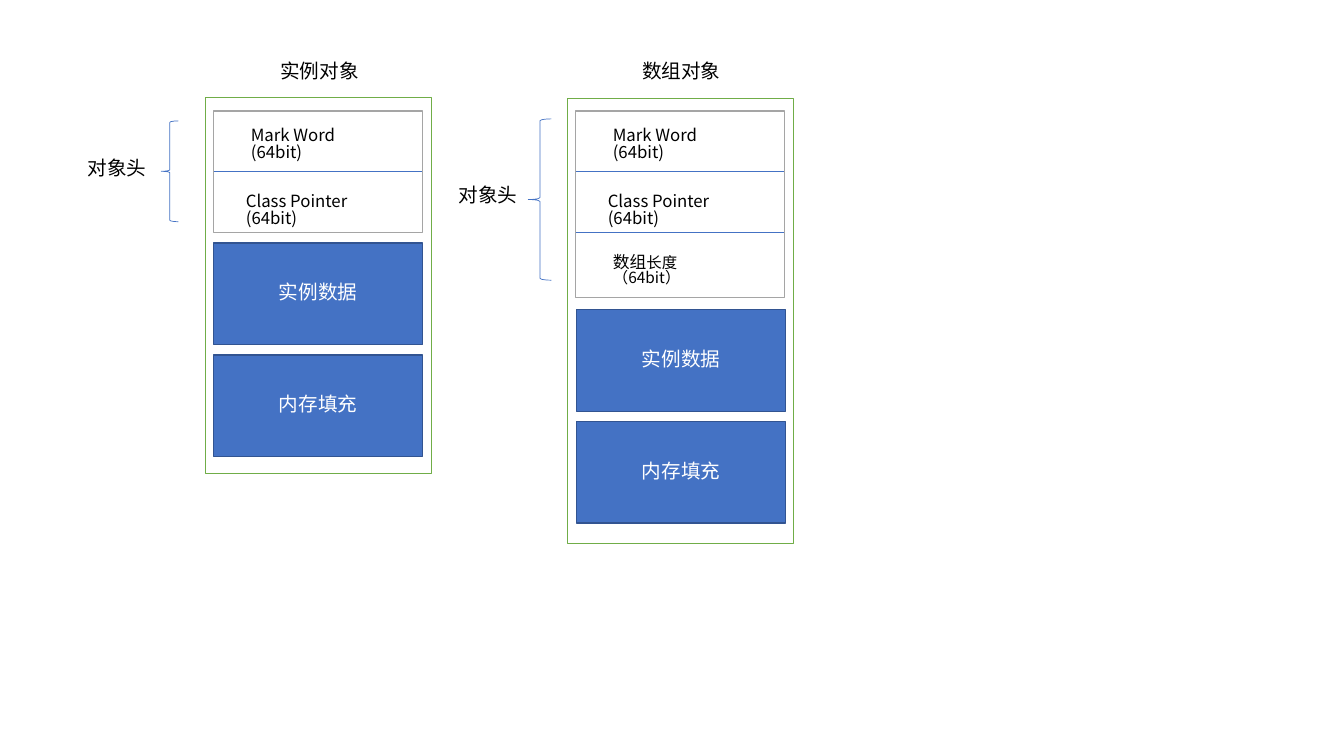
from pptx import Presentation
from pptx.dml.color import RGBColor
from pptx.enum.shapes import MSO_CONNECTOR as Connector, MSO_SHAPE as Shape
from pptx.enum.text import MSO_ANCHOR as Anchor, PP_ALIGN as Align
from pptx.oxml.ns import qn
from pptx.util import Inches, Pt
from lxml.etree import SubElement

# Content: each header field is (text runs as (text, size), left offset, top, width)
MARK_WORD = ([("Mark Word (64bit)", 12)], 0.35, 1.22, 1.53)
CLASS_POINTER = ([("Class Pointer (64bit)", 12)], 0.3, 1.88, 1.64)
ARRAY_LENGTH = ([("数组", 12), ("长度（64bit）", 11)], 0.35, 2.48, 1.4)
BLOCKS = ["实例数据", "内存填充"]
HEADER_NAME = "对象头"

OBJECTS = [
    dict(title="实例对象", left=2.04, top=0.97, height=3.73,
         fields=[MARK_WORD, CLASS_POINTER], header_height=1.21,
         dividers=[1.7], blocks_left=2.12, blocks_top=2.41,
         brace=(1.6, 1.2, 0.17, 1), brace_label=(0.77, 1.54)),
    dict(title="数组对象", left=5.63, top=0.98, height=4.41,
         fields=[MARK_WORD, CLASS_POINTER, ARRAY_LENGTH], header_height=1.85,
         dividers=[1.7, 2.31], blocks_left=5.72, blocks_top=3.07,
         brace=(5.24, 1.18, 0.23, 1.6), brace_label=(4.45, 1.81)),
]

THEME = dict(
    font="Noto Sans CJK SC", size=14, line_spacing=0.83,
    text="000000", light="FFFFFF", frame="70AD47", header="A5A5A5",
    accent="4472C4", block_line="325491", border=1, thin=0.5,
)

# Shared geometry
FRAME_WIDTH, PART_WIDTH, PART_INSET = 2.24, 2.07, 0.08
HEADER_TOP = 1.1
BLOCK_HEIGHT, BLOCK_GAP = 1.01, 0.1
TITLE_INSET, TITLE_TOP, TITLE_WIDTH = 0.64, 0.57, 0.99
BRACE_LABEL_WIDTH, LABEL_HEIGHT, FIELD_HEIGHT = 0.79, 0.34, 0.3


def color(name):
    return RGBColor.from_string(THEME[name])


def write(frame, runs, ink):
    paragraph = frame.paragraphs[0]
    paragraph.line_spacing = THEME["line_spacing"]
    font = paragraph.font
    font.name, font.size = THEME["font"], Pt(runs[0][1])
    font.color.rgb = color(ink)
    for text, size in runs:
        run = paragraph.add_run()
        run.text = text
        if len(runs) > 1:
            run.font.size = Pt(size)
        east_asian = SubElement(run._r.get_or_add_rPr(), qn("a:ea"))
        east_asian.set("typeface", THEME["font"])
    return paragraph


def add_label(runs, left, top, width, height, wrap=False):
    label = slide.shapes.add_textbox(*map(Inches, (left, top, width, height)))
    label.text_frame.word_wrap = wrap
    write(label.text_frame, runs, "text")


def add_part(kind, box, fill, line, width):
    part = slide.shapes.add_shape(kind, *map(Inches, box))
    part.shadow.inherit = False
    if fill:
        part.fill.solid()
        part.fill.fore_color.rgb = color(fill)
    else:
        part.fill.background()
    part.line.color.rgb = color(line)
    part.line.width = Pt(width)
    return part


def add_divider(left, top):
    divider = slide.shapes.add_connector(
        Connector.STRAIGHT, *map(Inches, (left, top, left + PART_WIDTH, top)))
    divider.line.color.rgb = color("accent")
    divider.line.width = Pt(THEME["thin"])
    SubElement(divider._element.spPr, qn("a:effectLst"))


def add_object(layout):
    left, size, border = layout["left"], THEME["size"], THEME["border"]
    header_left = left + PART_INSET

    # Frame and title
    add_part(Shape.RECTANGLE, (left, layout["top"], FRAME_WIDTH, layout["height"]),
             "light", "frame", border)
    add_label([(layout["title"], size)], left + TITLE_INSET, TITLE_TOP,
              TITLE_WIDTH, LABEL_HEIGHT)

    # Object header with its fields
    add_part(Shape.RECTANGLE,
             (header_left, HEADER_TOP, PART_WIDTH, layout["header_height"]),
             "light", "header", border)
    for runs, offset, top, width in layout["fields"]:
        add_label(runs, left + offset, top, width, FIELD_HEIGHT, wrap=True)
    for top in layout["dividers"]:
        add_divider(header_left, top)

    # Data and padding blocks
    for index, name in enumerate(BLOCKS):
        top = layout["blocks_top"] + index * (BLOCK_HEIGHT + BLOCK_GAP)
        block = add_part(Shape.RECTANGLE,
                         (layout["blocks_left"], top, PART_WIDTH, BLOCK_HEIGHT),
                         "accent", "block_line", border)
        block.text_frame.vertical_anchor = Anchor.MIDDLE
        write(block.text_frame, [(name, size)], "light").alignment = Align.CENTER

    # Brace beside the header
    add_part(Shape.LEFT_BRACE, layout["brace"], None, "accent", THEME["thin"])
    add_label([(HEADER_NAME, size)], *layout["brace_label"],
              BRACE_LABEL_WIDTH, LABEL_HEIGHT)


presentation = Presentation()
presentation.slide_width, presentation.slide_height = Inches(13.33), Inches(7.5)
slide = presentation.slides.add_slide(presentation.slide_layouts[6])
for memory_layout in OBJECTS:
    add_object(memory_layout)
presentation.save("out.pptx")
